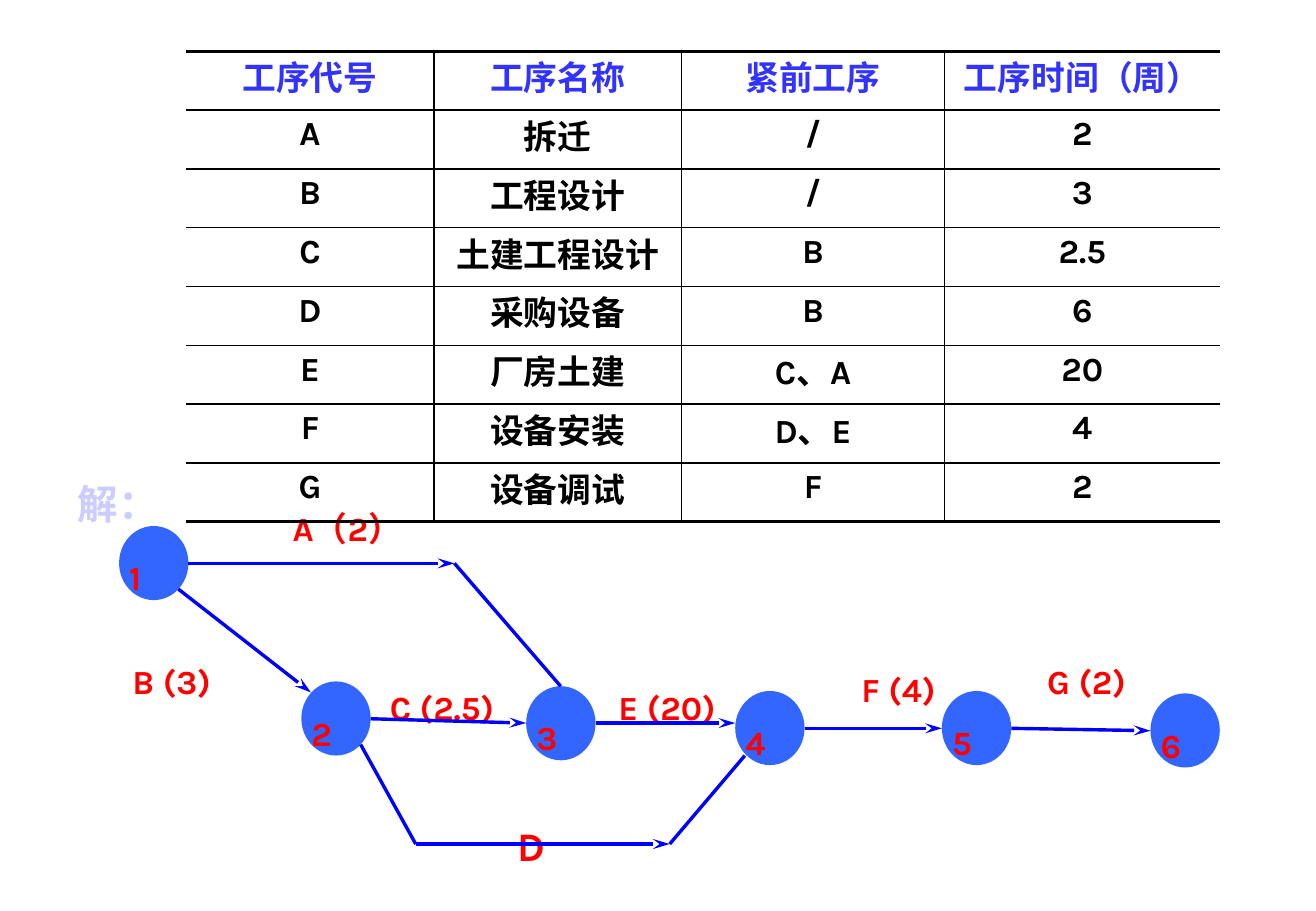
from lxml import etree
from pptx import Presentation, util as u
from pptx.dml.color import RGBColor
from pptx.enum import shapes, text
from pptx.oxml import ns

# Content (lengths in cm)
HEADER = ("工序代号", "工序名称", "紧前工序", "工序时间（周）")
TASKS = [
    ("A", "拆迁", "/", "2"),
    ("B", "工程设计", "/", "3"),
    ("C", "土建工程设计", "B", "2.5"),
    ("D", "采购设备", "B", "6"),
    ("E", "厂房土建", "C、A", "20"),
    ("F", "设备安装", "D、E", "4"),
    ("G", "设备调试", "F", "2"),
]
COLUMN_WIDTHS = (5.18, 5.18, 5.49, 5.77)
TABLE_LEFT, TABLE_TOP, ROW_HEIGHT = 3.89, 1.07, 1.23

# Events: number, left, top
EVENTS = [("1", 2.49, 11), ("2", 6.3, 14.25), ("3", 11, 14.35),
          ("4", 15.37, 14.45), ("5", 19.69, 14.45), ("6", 24.05, 14.5)]
EVENT_WIDTH, EVENT_HEIGHT = 1.45, 1.55

# Activity labels: words, size, left, top, width
LABELS = [
    ("A（2）", 20, 6.12, 10.19, 2.57),
    ("B (3)", 20, 2.77, 13.39, 2.36),
    ("C (2.5)", 20, 8.15, 13.94, 2.67),
    ("D", 24, 10.82, 16.66, 2.29),
    ("E (20)", 20, 12.93, 13.94, 2.16),
    ("F (4)", 20, 18.01, 13.56, 1.7),
    ("G (2)", 20, 21.89, 13.39, 2.16),
]
LABEL_HEIGHT = 1.63

# Activity lines: start, end, arrowhead
A_BEND, D_START, D_END = (9.5, 11.78), (8.69, 17.65), (14, 17.65)
ACTIVITIES = [
    ((3.94, 11.78), A_BEND, True),
    (A_BEND, (11.72, 14.35), False),
    ((3.73, 12.32), (6.5, 14.48), True),
    ((7.75, 15.03), (11, 15.12), True),
    ((7.54, 15.57), D_START, False),
    (D_START, D_END, True),
    (D_END, (15.57, 15.8), False),
    ((12.45, 15.12), (15.37, 15.12), True),
    ((16.82, 15.23), (19.69, 15.23), True),
    ((21.14, 15.23), (24.05, 15.28), True),
]

RED, BLUE, LINE_BLUE = "FF0000", "3366FF", "0000FF"
HEADER_BLUE, LILAC, BLACK = "3333FF", "CCCCFF", "000000"


def color(hex_code):
    return RGBColor.from_string(hex_code)


def write(frame, words, size=20, ink=RED, align=text.PP_ALIGN.LEFT,
          spacing=None, before=None, bottom=0.0, wrap=True):
    frame.margin_left = frame.margin_top = frame.margin_right = 0
    frame.margin_bottom = u.Cm(bottom)
    frame.word_wrap = wrap
    frame.vertical_anchor = text.MSO_ANCHOR.TOP
    paragraph = frame.paragraphs[0]
    paragraph.alignment = align
    paragraph.line_spacing = spacing
    paragraph.space_before = before
    run = paragraph.add_run()
    run.text = words
    run.font.name, run.font.size, run.font.bold = "Karla", u.Pt(size), True
    run.font.color.rgb = color(ink)


def set_border(cell, side, points):
    line = etree.SubElement(cell._tc.get_or_add_tcPr(), ns.qn("a:ln" + side))
    if points:
        line.set("w", str(u.Pt(points)))
        solid = etree.SubElement(line, ns.qn("a:solidFill"))
        etree.SubElement(solid, ns.qn("a:srgbClr"), val=BLACK)
    else:
        etree.SubElement(line, ns.qn("a:noFill"))


deck = Presentation()
deck.slide_width, deck.slide_height = u.Cm(27.51), u.Cm(19.05)
slide = deck.slides.add_slide(deck.slide_layouts[6])

# Events
for number, left, top in EVENTS:
    event = slide.shapes.add_shape(
        shapes.MSO_SHAPE.OVAL, u.Cm(left), u.Cm(top),
        u.Cm(EVENT_WIDTH), u.Cm(EVENT_HEIGHT))
    event.shadow.inherit = False
    event.fill.solid()
    event.fill.fore_color.rgb = color(BLUE)
    event.line.fill.background()
    write(event.text_frame, number, spacing=1.5, bottom=0.2, wrap=False)

# Activity labels
for words, size, left, top, width in LABELS:
    label = slide.shapes.add_textbox(
        u.Cm(left), u.Cm(top), u.Cm(width), u.Cm(LABEL_HEIGHT))
    write(label.text_frame, words, size=size, spacing=1.5, before=u.Pt(4))

# Activity lines
for start, end, has_arrow in ACTIVITIES:
    activity = slide.shapes.add_connector(
        shapes.MSO_CONNECTOR.STRAIGHT, *map(u.Cm, start + end))
    activity.line.color.rgb = color(LINE_BLUE)
    activity.line.width = u.Pt(2)
    if has_arrow:
        etree.SubElement(activity.line._get_or_add_ln(), ns.qn("a:tailEnd"),
                         type="stealth", len="lg")
    etree.SubElement(activity._element.spPr, ns.qn("a:effectLst"))

# Task table
rows = [HEADER] + TASKS
task_table = slide.shapes.add_table(
    len(rows), len(HEADER), u.Cm(TABLE_LEFT), u.Cm(TABLE_TOP),
    u.Cm(sum(COLUMN_WIDTHS)), u.Cm(ROW_HEIGHT * len(rows))).table
task_table.first_row = task_table.horz_banding = False
for column, width in zip(task_table.columns, COLUMN_WIDTHS):
    column.width = u.Cm(width)
last_row, last_column = len(rows) - 1, len(HEADER) - 1
for r, row in enumerate(rows):
    task_table.rows[r].height = u.Cm(ROW_HEIGHT)
    for c, words in enumerate(row):
        cell = task_table.cell(r, c)
        write(cell.text_frame, words, ink=BLACK if r else HEADER_BLUE,
              align=text.PP_ALIGN.CENTER, before=u.Pt(4))
        cell.margin_left = cell.margin_top = cell.margin_right = 0
        cell.margin_bottom = u.Cm(0.2)
        cell.vertical_anchor = text.MSO_ANCHOR.MIDDLE
        set_border(cell, "L", 1 if c > 0 else 0)
        set_border(cell, "R", 1 if c < last_column else 0)
        set_border(cell, "T", 1 if r > 0 else 2.25)
        set_border(cell, "B", 1 if r < last_row else 2.25)
        cell.fill.background()

# Answer heading
answer = slide.shapes.add_textbox(u.Cm(1.63), u.Cm(9.5), u.Cm(1.73), u.Cm(1.75))
write(answer.text_frame, "解：", size=24, ink=LILAC, spacing=1.5, bottom=0.2,
      wrap=False)

deck.save("out.pptx")
